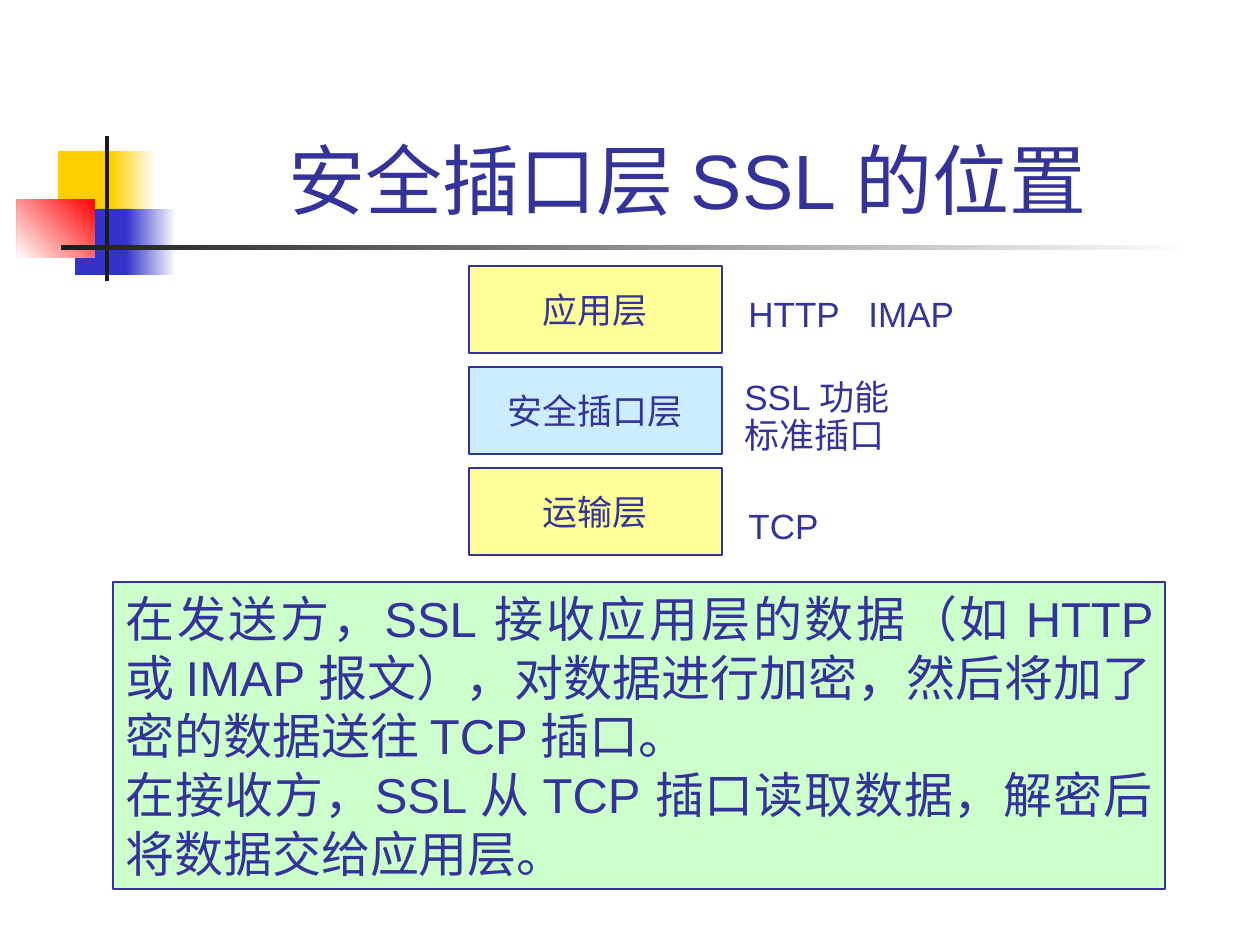
from dataclasses import dataclass
from typing import Optional

import pptx
import pptx.dml.color
import pptx.enum.shapes
import pptx.enum.text
import pptx.oxml
import pptx.oxml.ns
import pptx.util

Align = pptx.enum.text.PP_ALIGN
Anchor = pptx.enum.text.MSO_ANCHOR
AutoSize = pptx.enum.text.MSO_AUTO_SIZE
PX_PER_INCH = 126


@dataclass(frozen=True)
class Theme:
    font: str = "Arial"
    ink: str = "333399"
    white: str = "FFFFFF"
    gold: str = "FFCF01"
    blue: str = "3333CC"
    red: str = "FF0000"
    black: str = "1C1C1C"
    yellow: str = "FFFF99"
    sky: str = "CCECFF"
    green: str = "CCFFCC"
    title_size: int = 44
    label_size: int = 20
    body_size: int = 28
    outline: float = 0.75


THEME = Theme()


@dataclass(frozen=True)
class Box:
    left: int
    top: int
    width: int
    height: int


@dataclass(frozen=True)
class Ornament:
    box: Box
    color: str
    fade_to: Optional[str] = None
    angle: int = 180


@dataclass(frozen=True)
class Label:
    text: str
    box: Box
    line_spacing: Optional[float] = None
    tab: Optional[int] = None


@dataclass(frozen=True)
class Layer:
    name: str
    color: str


# Decoration behind the title, from back to front
ORNAMENTS = [
    Ornament(Box(58, 151, 60, 66), THEME.gold),
    Ornament(Box(111, 151, 45, 66), THEME.white, THEME.gold),
    Ornament(Box(75, 209, 58, 66), THEME.blue),
    Ornament(Box(126, 209, 50, 66), THEME.white, THEME.blue),
    Ornament(Box(17, 199, 78, 59), THEME.red, THEME.white, 225),
    Ornament(Box(105, 136, 4, 145), THEME.black),
    Ornament(Box(61, 245, 1134, 5), THEME.white, THEME.black),
]

# Protocol stack and its labels
STACK = Box(469, 266, 253, 87)
LAYER_PITCH = 101
LAYERS = [
    Layer("应用层", THEME.yellow),
    Layer("安全插口层", THEME.sky),
    Layer("运输层", THEME.yellow),
]
LABELS = [
    Label("HTTP\tIMAP", Box(736, 286, 232, 55), tab=120),
    Label("SSL 功能\n标准插口", Box(732, 374, 179, 88), line_spacing=0.9),
    Label("TCP", Box(736, 498, 95, 55)),
]

EXPLANATION = (
    "在发送方，SSL 接收应用层的数据（如 HTTP 或 IMAP 报文），"
    "对数据进行加密，然后将加了密的数据送往 TCP 插口。\n"
    "在接收方，SSL 从 TCP 插口读取数据，解密后将数据交给应用层。 "
)


def px(length: int) -> pptx.util.Emu:
    return pptx.util.Emu(round(length * 914400 / PX_PER_INCH))


def rgb(color: str) -> pptx.dml.color.RGBColor:
    return pptx.dml.color.RGBColor.from_string(color)


def place(box: Box) -> tuple:
    return px(box.left), px(box.top), px(box.width), px(box.height)


def add_rectangle(slide, box: Box, color: str, outlined: bool = False):
    rectangle = slide.shapes.add_shape(
        pptx.enum.shapes.MSO_SHAPE.RECTANGLE, *place(box))
    rectangle.shadow.inherit = False
    rectangle.fill.solid()
    rectangle.fill.fore_color.rgb = rgb(color)
    if outlined:
        rectangle.line.color.rgb = rgb(THEME.ink)
        rectangle.line.width = pptx.util.Pt(THEME.outline)
    else:
        rectangle.line.fill.background()
    return rectangle


def write(shape, text: str, size: int, align=Align.LEFT, anchor=Anchor.TOP,
          wrap: bool = False, grow: bool = False,
          line_spacing: Optional[float] = None) -> None:
    frame = shape.text_frame
    frame.text = text
    frame.word_wrap = wrap
    frame.auto_size = AutoSize.SHAPE_TO_FIT_TEXT if grow else AutoSize.NONE
    frame.vertical_anchor = anchor
    for paragraph in frame.paragraphs:
        paragraph.alignment = align
        if line_spacing:
            paragraph.line_spacing = line_spacing
        for run in paragraph.runs:
            run.font.name = THEME.font
            run.font.size = pptx.util.Pt(size)
            run.font.color.rgb = rgb(THEME.ink)


def add_tab_stop(paragraph, position: int) -> None:
    properties = paragraph._p.get_or_add_pPr()
    properties.append(pptx.oxml.parse_xml(
        f'<a:tabLst {pptx.oxml.ns.nsdecls("a")}>'
        f'<a:tab pos="{px(position)}" algn="l"/></a:tabLst>'))


def draw_ornament(slide, ornament: Ornament) -> None:
    block = add_rectangle(slide, ornament.box, ornament.color)
    if ornament.fade_to:
        block.fill.gradient()
        block.fill.gradient_angle = ornament.angle
        colors = (ornament.color, ornament.fade_to)
        for stop, color in zip(block.fill.gradient_stops, colors):
            stop.color.rgb = rgb(color)


def draw_layer(slide, layer: Layer, row: int) -> None:
    box = Box(STACK.left, STACK.top + row * LAYER_PITCH,
              STACK.width, STACK.height)
    block = add_rectangle(slide, box, layer.color, outlined=True)
    write(block, layer.name, THEME.label_size, Align.CENTER, Anchor.MIDDLE)


def draw_label(slide, label: Label) -> None:
    caption = slide.shapes.add_textbox(*place(label.box))
    write(caption, label.text, THEME.label_size, grow=True,
          line_spacing=label.line_spacing)
    if label.tab:
        add_tab_stop(caption.text_frame.paragraphs[0], label.tab)


def main() -> None:
    deck = pptx.Presentation()
    deck.slide_width, deck.slide_height = px(1260), px(945)
    slide = deck.slides.add_slide(deck.slide_layouts[6])

    for ornament in ORNAMENTS:
        draw_ornament(slide, ornament)

    # Title
    title = slide.shapes.add_textbox(*place(Box(159, 29, 1074, 202)))
    write(title, "安全插口层 SSL 的位置 ", THEME.title_size,
          Align.CENTER, Anchor.BOTTOM, wrap=True)

    for row, layer in enumerate(LAYERS):
        draw_layer(slide, layer, row)
    for label in LABELS:
        draw_label(slide, label)

    # Explanation
    explanation = add_rectangle(
        slide, Box(113, 582, 1052, 307), THEME.green, outlined=True)
    write(explanation, EXPLANATION, THEME.body_size, Align.JUSTIFY,
          wrap=True, grow=True)

    deck.save("out.pptx")


if __name__ == "__main__":
    main()
